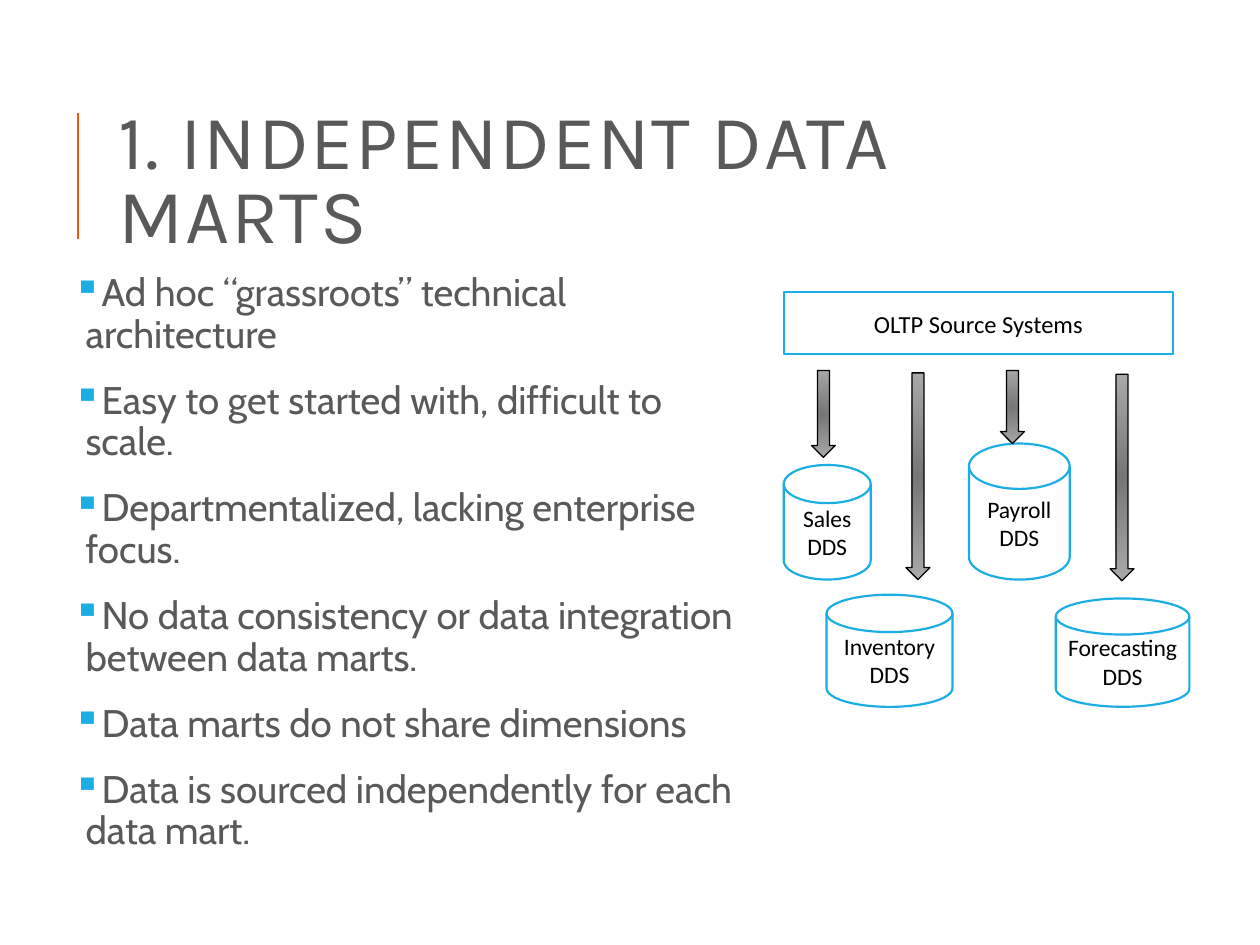
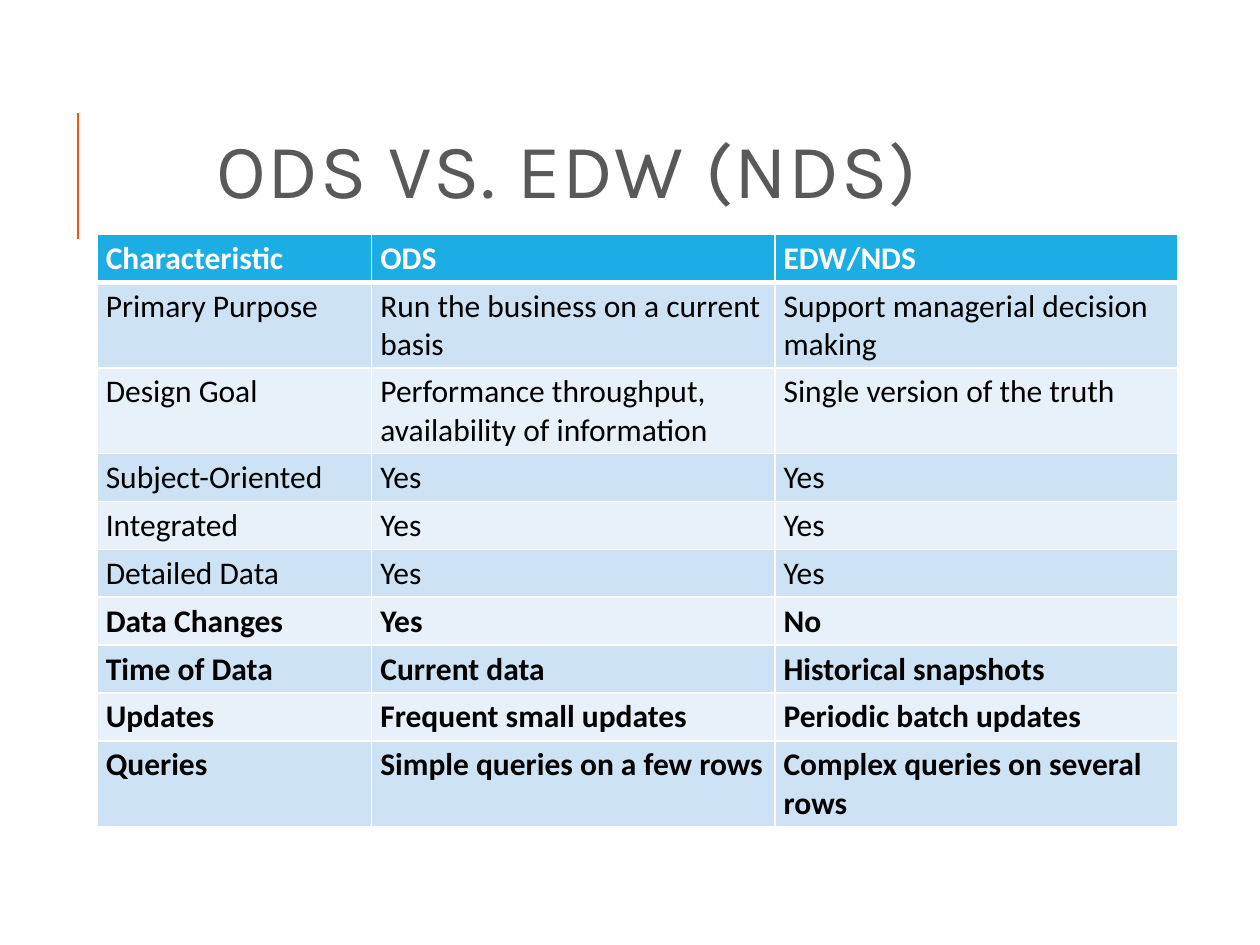
from dataclasses import dataclass

from lxml.etree import SubElement
from pptx import Presentation
from pptx.dml.color import RGBColor
from pptx.enum.shapes import MSO_CONNECTOR, MSO_SHAPE
from pptx.enum.text import MSO_ANCHOR, PP_ALIGN
from pptx.oxml.ns import qn
from pptx.util import Inches, Pt

SLIDE_WIDTH, SLIDE_HEIGHT = Inches(10), Inches(7.5)
COLUMN, ROW = SLIDE_WIDTH / 100, SLIDE_HEIGHT / 75

BLUE, ORANGE, GREY = "1CADE4", "EE5612", "595959"
WHITE, BLACK = "FFFFFF", "000000"
BANDS = ("CDE3F5", "E8F1FA")
ARROW_GREYS = ("767676", "A9A9A9")
TITLE_FONT, BODY_FONT, LABEL_FONT = "Karla", "Cabin", "Calibri"

BULLETS = (
    "Ad hoc “grassroots” technical architecture",
    "Easy to get started with, difficult to scale.",
    "Departmentalized, lacking enterprise focus.",
    "No data consistency or data integration between data marts.",
    "Data marts do not share dimensions",
    "Data is sourced independently for each data mart.",
)
COMPARISON = (
    ("Characteristic", "ODS", "EDW/NDS"),
    ("Primary Purpose", "Run the business on a current basis",
     "Support managerial decision making"),
    ("Design Goal", "Performance throughput, availability of information",
     "Single version of the truth"),
    ("Subject-Oriented", "Yes", "Yes"),
    ("Integrated", "Yes", "Yes"),
    ("Detailed Data", "Yes", "Yes"),
    ("Data Changes", "Yes", "No"),
    ("Time of Data", "Current data", "Historical snapshots"),
    ("Updates", "Frequent small updates", "Periodic batch updates"),
    ("Queries", "Simple queries on a few rows", "Complex queries on several rows"),
)
FIRST_BOLD_ROW = 6
TALL_ROWS = (1, 2, 9)


@dataclass
class Box:
    """An area in grid columns and rows."""
    left: float
    top: float
    width: float
    height: float

    def inner(self, left, top, width, height):
        return Box(self.left + left, self.top + top, width, height)

    def lengths(self):
        return (round(self.left * COLUMN), round(self.top * ROW),
                round(self.width * COLUMN), round(self.height * ROW))


def color(hex_string):
    return RGBColor.from_string(hex_string)


def style(paragraph, font_name, size, hex_string, bold=False):
    font = paragraph.font
    font.name, font.size, font.bold = font_name, Pt(size), bold
    font.color.rgb = color(hex_string)


def add_text_frame(slide, box):
    text_frame = slide.shapes.add_textbox(*box.lengths()).text_frame
    text_frame.word_wrap = True
    return text_frame


def add_title(slide, box, text):
    """Title text with the accent rule at the left of the slide."""
    rule_x = round(6.2 * COLUMN)
    rule = slide.shapes.add_connector(
        MSO_CONNECTOR.STRAIGHT, rule_x, round(19 * ROW), rule_x, round(9 * ROW))
    rule.line.color.rgb = color(ORANGE)
    rule.line.width = Pt(1.5)
    SubElement(rule._element.spPr, qn("a:effectLst"))

    text_frame = add_text_frame(slide, box)
    text_frame.vertical_anchor = MSO_ANCHOR.MIDDLE
    paragraph = text_frame.paragraphs[0]
    paragraph.text = text
    paragraph.line_spacing = 0.8
    style(paragraph, TITLE_FONT, 44, GREY)
    paragraph._p.pPr.find(qn("a:defRPr")).set("spc", "100")


def add_bullet(paragraph):
    properties = paragraph._p.get_or_add_pPr()
    properties.set("marL", str(Inches(0.1)))
    properties.set("indent", str(-Inches(0.1)))
    bullet_color = SubElement(properties, qn("a:buClr"))
    SubElement(bullet_color, qn("a:srgbClr"), val=BLUE)
    SubElement(properties, qn("a:buChar"), char="▪")


def add_bullets(slide, box, texts):
    text_frame = add_text_frame(slide, box)
    text_frame.margin_left = text_frame.margin_right = Inches(0.05)
    text_frame.margin_top = text_frame.margin_bottom = Inches(0.05)
    for index, text in enumerate(texts):
        paragraph = text_frame.add_paragraph() if index else text_frame.paragraphs[0]
        paragraph.text = text
        add_bullet(paragraph)
        paragraph.line_spacing = 0.9
        paragraph.space_before = Pt(12 if index else 0)
        paragraph.space_after = Pt(2)
        style(paragraph, BODY_FONT, 22, GREY)


def add_outlined_shape(slide, kind, box, line_color, line_width):
    shape = slide.shapes.add_shape(kind, *box.lengths())
    shape.shadow.inherit = False
    shape.line.color.rgb = color(line_color)
    shape.line.width = Pt(line_width)
    return shape


def add_labelled_shape(slide, kind, box, label, size):
    shape = add_outlined_shape(slide, kind, box, BLUE, 1.25)
    shape.fill.solid()
    shape.fill.fore_color.rgb = color(WHITE)
    text_frame = shape.text_frame
    text_frame.word_wrap = False
    text_frame.vertical_anchor = MSO_ANCHOR.MIDDLE
    paragraph = text_frame.paragraphs[0]
    paragraph.text = label
    paragraph.alignment = PP_ALIGN.CENTER
    style(paragraph, LABEL_FONT, size, BLACK)


def add_load_arrow(slide, box):
    arrow = add_outlined_shape(slide, MSO_SHAPE.DOWN_ARROW, box, BLACK, 0.75)
    arrow.fill.gradient()
    for stop, grey, position in zip(arrow.fill.gradient_stops, ARROW_GREYS, (0, 1)):
        stop.color.rgb = color(grey)
        stop.position = position
    gradient = arrow._element.spPr.find(qn("a:gradFill"))
    gradient.remove(gradient.find(qn("a:lin")))
    circle = SubElement(gradient, qn("a:path"), path="circle")
    SubElement(circle, qn("a:fillToRect"), {side: "100000" for side in "ltrb"})


def add_data_mart_diagram(slide, box):
    """Source systems on top, with one arrow down to each data mart."""
    data_marts = (
        # label, disk (left, top, width, height), arrow (left, top, height)
        ("Payroll", (14.7, 12, 8, 10.8), (17.2, 6.2, 5.8)),
        ("Inventory", (3.4, 24, 10, 8.9), (9.7, 6.4, 16.4)),
        ("Forecasting", (21.6, 24.3, 10.6, 8.6), (25.9, 6.5, 16.4)),
        ("Sales", (0, 13.7, 6.9, 9.1), (2.2, 6.2, 6.9)),
    )
    add_labelled_shape(slide, MSO_SHAPE.RECTANGLE, box.inner(0, 0, 30.9, 4.9),
                       "OLTP Source Systems", 14)
    for name, disk, (left, top, height) in data_marts:
        add_labelled_shape(slide, MSO_SHAPE.FLOWCHART_MAGNETIC_DISK,
                           box.inner(*disk), f"{name}\nDDS", 13.5)
        add_load_arrow(slide, box.inner(left, top, 1.9, height))


def set_borders(cell, bottom_width):
    properties = cell._tc.get_or_add_tcPr()
    for side, width in (("L", 1), ("R", 1), ("T", 1), ("B", bottom_width)):
        line = SubElement(properties, qn(f"a:ln{side}"), w=str(Pt(width)))
        fill = SubElement(line, qn("a:solidFill"))
        SubElement(fill, qn("a:srgbClr"), val=WHITE)


def add_comparison_table(slide, box, records):
    table = slide.shapes.add_table(
        len(records), len(records[0]), *box.lengths()).table
    for column, share in zip(table.columns, (0.254, 0.373, 0.373)):
        column.width = round(box.width * share * COLUMN)
    for row_index, record in enumerate(records):
        header = row_index == 0
        height = 6.8 if row_index in TALL_ROWS else 3.7 if header else 3.8
        table.rows[row_index].height = round(height * ROW)
        for column_index, text in enumerate(record):
            cell = table.cell(row_index, column_index)
            cell.margin_left = cell.margin_right = Inches(0.07)
            cell.margin_top = cell.margin_bottom = Inches(0.04)
            # The thick rule lies between the header and the first band.
            set_borders(cell, 3 if header else 1)
            cell.fill.solid()
            cell.fill.fore_color.rgb = color(
                BLUE if header else BANDS[(row_index - 1) % 2])
            paragraph = cell.text_frame.paragraphs[0]
            paragraph.text = text
            style(paragraph, LABEL_FONT, 18, WHITE if header else BLACK,
                  bold=header or row_index >= FIRST_BOLD_ROW)


def build_data_marts_slide(slide):
    add_title(slide, Box(8.4, 6.4, 79.7, 16.4), "1. INDEPENDENT DATA MARTS")
    add_bullets(slide, Box(5.3, 21.2, 53.4, 48), BULLETS)
    add_data_mart_diagram(slide, Box(62.2, 23.2, 32.2, 32.9))


def build_comparison_slide(slide):
    add_title(slide, Box(16.2, 9.4, 67.5, 9.2), "ODS VS. EDW (NDS)")
    add_comparison_table(slide, Box(7.7, 18.6, 85.8, 46.9), COMPARISON)


def main():
    presentation = Presentation()
    presentation.slide_width, presentation.slide_height = SLIDE_WIDTH, SLIDE_HEIGHT
    blank_layout = presentation.slide_layouts[6]
    for build in (build_data_marts_slide, build_comparison_slide):
        build(presentation.slides.add_slide(blank_layout))
    presentation.save("out.pptx")


if __name__ == "__main__":
    main()
